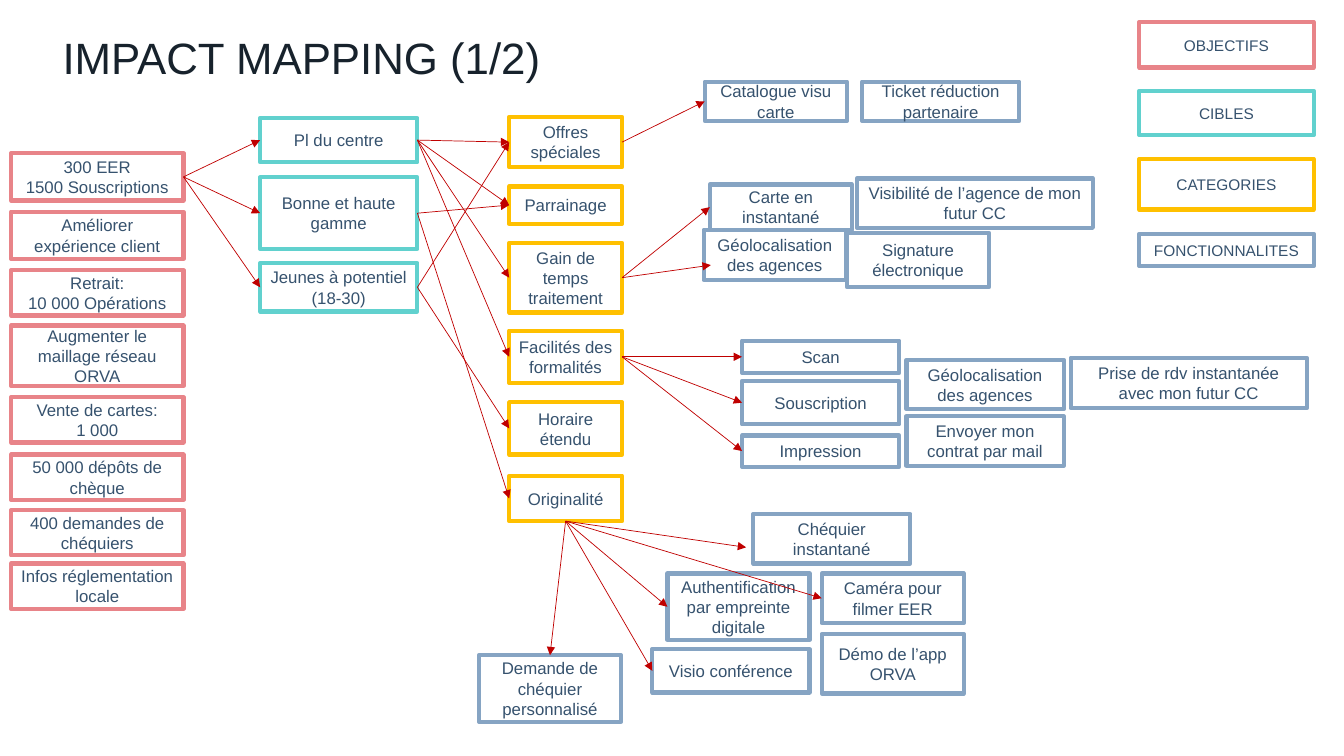
from dataclasses import dataclass
from lxml import etree
from pptx import Presentation
from pptx import util as u
from pptx.dml import color
from pptx.enum import shapes, text
from pptx.oxml import ns


@dataclass(frozen=True)
class Theme:
    goal: str = "E88489"
    target: str = "61D1CE"
    group: str = "FFC000"
    feature: str = "86A4C3"
    arrow: str = "C00000"
    fill: str = "FFFFFF"
    ink: str = "36526E"
    title: str = "17222C"
    face: str = "Arial"
    body: int = 12
    key: int = 11
    head: int = 54


look = Theme()


def style(par, size, ink, align):
    par.alignment = align
    par.font.name = look.face
    par.font.size = u.Pt(size)
    par.font.color.rgb = color.RGBColor.from_string(ink)


deck = Presentation()
deck.slide_width = u.Inches(13.33)
deck.slide_height = u.Inches(7.5)
slide = deck.slides.add_slide(deck.slide_layouts[5])

title = slide.shapes.title
title.left, title.top = u.Inches(0.52), u.Inches(0.22)
title.width, title.height = u.Inches(11.5), u.Inches(0.62)
frame = title.text_frame
frame.text = "IMPACT MAPPING (1/2)"
frame.auto_size = text.MSO_AUTO_SIZE.NONE
frame.vertical_anchor = text.MSO_ANCHOR.MIDDLE
style(frame.paragraphs[0], look.head, look.title, text.PP_ALIGN.LEFT)
frame.paragraphs[0].runs[0]._r.get_or_add_rPr().set("baseline", "12000")

# fmt: off
stacks = [
    (look.goal, look.body, 0.11, 1.71, [
        (1.52, 0.47, "300 EER\n1500 Souscriptions"),
        (2.1, 0.47, "Améliorer expérience client"),
        (2.68, 0.45, "Retrait:\v10 000 Opérations"),
        (3.23, 0.6, "Augmenter le maillage réseau ORVA"),
        (3.94, 0.45, "Vente de cartes:\n1 000"),
        (4.51, 0.45, "50 000 dépôts de chèque"),
        (5.06, 0.45, "400 demandes de chéquiers"),
        (5.59, 0.45, "Infos réglementation locale")]),
    (look.target, look.body, 2.58, 1.56, [
        (1.17, 0.44, "Pl du centre"),
        (1.76, 0.71, "Bonne et haute gamme"),
        (2.61, 0.48, "Jeunes à potentiel (18-30)")]),
    (look.group, look.body, 5.05, 1.12, [
        (1.16, 0.5, "Offres spéciales"),
        (1.85, 0.37, "Parrainage"),
        (2.41, 0.69, "Gain de temps traitement"),
        (3.28, 0.52, "Facilités des formalités"),
        (3.99, 0.52, "Horaire étendu"),
        (4.72, 0.45, "Originalité")]),
    (look.feature, look.body, 6.99, 1.41, [(0.81, 0.39, "Catalogue visu carte")]),
    (look.feature, look.body, 8.55, 1.56, [(0.81, 0.39, "Ticket réduction partenaire")]),
    (look.feature, look.body, 8.5, 2.34, [(1.77, 0.49, "Visibilité de l’agence de mon futur CC")]),
    (look.feature, look.body, 6.98, 1.41, [(2.28, 0.5, "Géolocalisation des agences")]),
    (look.feature, look.body, 7.04, 1.41, [(1.83, 0.45, "Carte en instantané")]),
    (look.feature, look.body, 8.4, 1.41, [(2.31, 0.54, "Signature électronique")]),
    (look.feature, look.body, 7.36, 1.56, [
        (3.38, 0.32, "Scan"),
        (3.78, 0.43, "Souscription"),
        (4.32, 0.31, "Impression")]),
    (look.feature, look.body, 8.99, 1.56, [
        (3.57, 0.49, "Géolocalisation des agences"),
        (4.13, 0.49, "Envoyer mon contrat par mail")]),
    (look.feature, look.body, 10.62, 2.34, [(3.55, 0.5, "Prise de rdv instantanée avec mon futur CC")]),
    (look.feature, look.body, 7.47, 1.56, [(5.1, 0.49, "Chéquier instantané")]),
    (look.feature, look.body, 6.62, 1.41, [(5.69, 0.66, "Authentification par empreinte digitale")]),
    (look.feature, look.body, 6.47, 1.56, [(6.44, 0.43, "Visio conférence")]),
    (look.feature, look.body, 4.75, 1.41, [(6.5, 0.66, "Demande de chéquier personnalisé")]),
    (look.feature, look.body, 8.15, 1.41, [
        (5.69, 0.49, "Caméra pour filmer EER"),
        (6.29, 0.59, "Démo de l’app ORVA")]),
    (look.goal, look.key, 11.3, 1.73, [(0.22, 0.45, "OBJECTIFS")]),
    (look.target, look.key, 11.3, 1.73, [(0.9, 0.44, "CIBLES")]),
    (look.group, look.key, 11.3, 1.73, [(1.58, 0.5, "CATEGORIES")]),
    (look.feature, look.key, 11.3, 1.73, [(2.32, 0.32, "FONCTIONNALITES")]),
]
# fmt: on

boxes = {}
for edge, size, left, width, rows in stacks:
    for top, height, words in rows:
        box = slide.shapes.add_shape(
            shapes.MSO_SHAPE.RECTANGLE,
            u.Inches(left), u.Inches(top), u.Inches(width), u.Inches(height))
        box.shadow.inherit = False
        box.fill.solid()
        box.fill.fore_color.rgb = color.RGBColor.from_string(look.fill)
        box.line.color.rgb = color.RGBColor.from_string(edge)
        box.line.width = u.Pt(3)
        frame = box.text_frame
        frame.word_wrap = True
        frame.margin_left = frame.margin_right = u.Inches(0.08)
        frame.vertical_anchor = text.MSO_ANCHOR.MIDDLE
        frame.text = words
        for par in frame.paragraphs:
            style(par, size, look.ink, text.PP_ALIGN.CENTER)
        boxes[words] = box

TOP, LEFT, BASE, RIGHT = range(4)
links = [
    ("300 EER\n1500 Souscriptions", RIGHT, [
        "Pl du centre", "Bonne et haute gamme", "Jeunes à potentiel (18-30)"]),
    ("Pl du centre", RIGHT, [
        "Offres spéciales", "Parrainage", "Gain de temps traitement",
        "Facilités des formalités"]),
    ("Bonne et haute gamme", RIGHT, ["Parrainage", "Originalité"]),
    ("Jeunes à potentiel (18-30)", RIGHT, ["Offres spéciales", "Horaire étendu"]),
    ("Offres spéciales", RIGHT, ["Catalogue visu carte"]),
    ("Gain de temps traitement", RIGHT, ["Carte en instantané", (7.05, 2.63)]),
    ("Facilités des formalités", RIGHT, ["Scan", "Souscription", "Impression"]),
    ("Originalité", BASE, [
        "Authentification par empreinte digitale", (7.4, 5.43), "Visio conférence",
        "Caméra pour filmer EER", "Demande de chéquier personnalisé"]),
]

for start, side, ends in links:
    for end in ends:
        x, y = end if isinstance(end, tuple) else (0, 0)
        arrow = slide.shapes.add_connector(
            shapes.MSO_CONNECTOR.STRAIGHT, 0, 0, u.Inches(x), u.Inches(y))
        arrow.begin_connect(boxes[start], side)
        if end in boxes:
            below = end == "Demande de chéquier personnalisé"
            arrow.end_connect(boxes[end], TOP if below else LEFT)
        arrow.line.color.rgb = color.RGBColor.from_string(look.arrow)
        arrow.line.width = u.Pt(0.5)
        etree.SubElement(arrow.line._get_or_add_ln(), ns.qn("a:tailEnd"), type="triangle")
        etree.SubElement(arrow._element.spPr, ns.qn("a:effectLst"))

deck.save("out.pptx")
